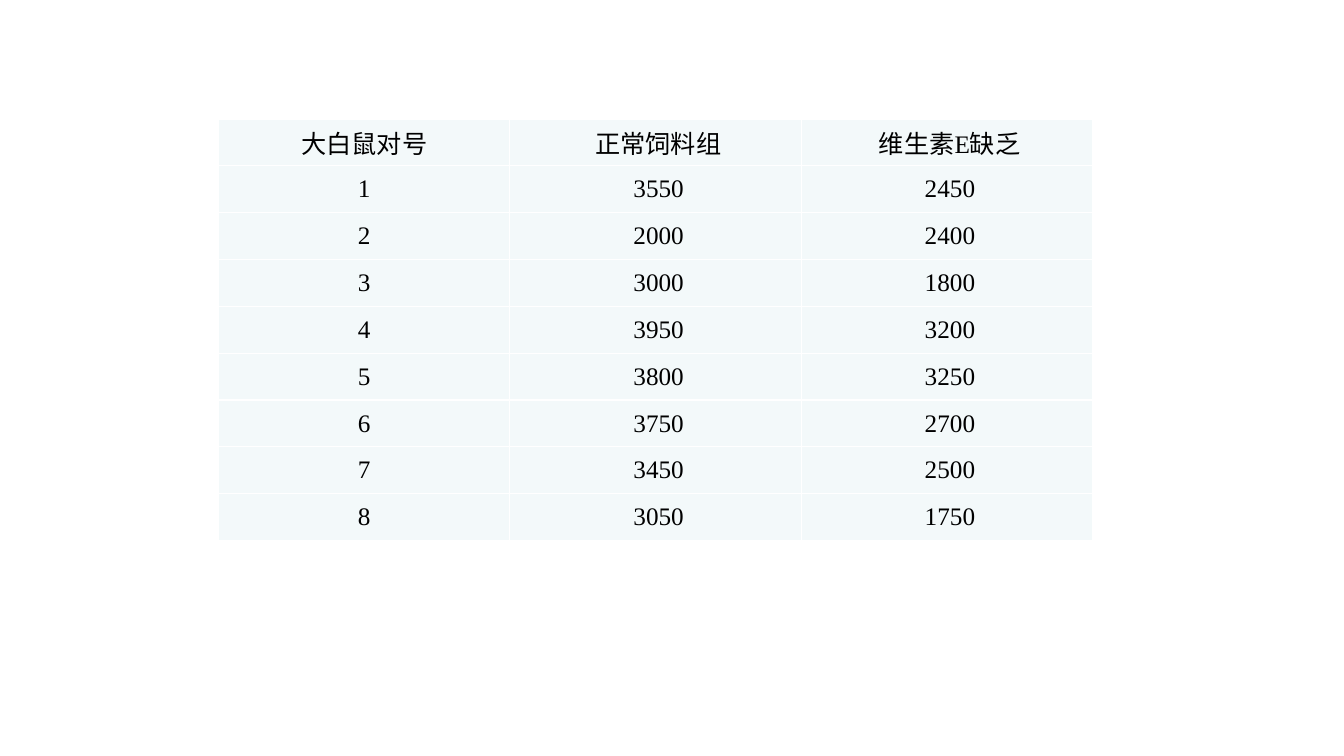
from pptx import Presentation
from pptx.dml.color import RGBColor
from pptx.enum.text import MSO_ANCHOR, PP_ALIGN
from pptx.util import Cm, Pt

BLACK = RGBColor(0x00, 0x00, 0x00)
PALE = RGBColor(0xF3, 0xF9, 0xFA)

HEADS = ["大白鼠对号", " 正常饲料组", " 维生素E缺乏"]
NORMAL = [3550, 2000, 3000, 3950, 3800, 3750, 3450, 3050]
LACKING = [2450, 2400, 1800, 3200, 3250, 2700, 2500, 1750]

rows = [HEADS]
for number, (normal, lacking) in enumerate(zip(NORMAL, LACKING), 1):
    rows.append([str(number), f" {normal}", f" {lacking}"])

deck = Presentation()
deck.slide_width = Cm(33.87)
deck.slide_height = Cm(19.05)
slide = deck.slides.add_slide(deck.slide_layouts[6])

table = slide.shapes.add_table(
    len(rows), len(HEADS), Cm(5.51), Cm(3), Cm(22.02), Cm(10.62)
).table
table.first_row = False
table.horz_banding = False

for row, texts in zip(table.rows, rows):
    row.height = Cm(1.18)
    for cell, text in zip(row.cells, texts):
        cell.fill.solid()
        cell.fill.fore_color.rgb = PALE
        cell.vertical_anchor = MSO_ANCHOR.MIDDLE
        cell.margin_left = cell.margin_right = Cm(0.03)
        cell.margin_top = cell.margin_bottom = Cm(0.03)
        cell.text_frame.text = text
        para = cell.text_frame.paragraphs[0]
        para.alignment = PP_ALIGN.CENTER
        font = para.runs[0].font
        font.name = "Times New Roman"
        font.size = Pt(18)
        font.bold = False
        font.color.rgb = BLACK

deck.save("out.pptx")
